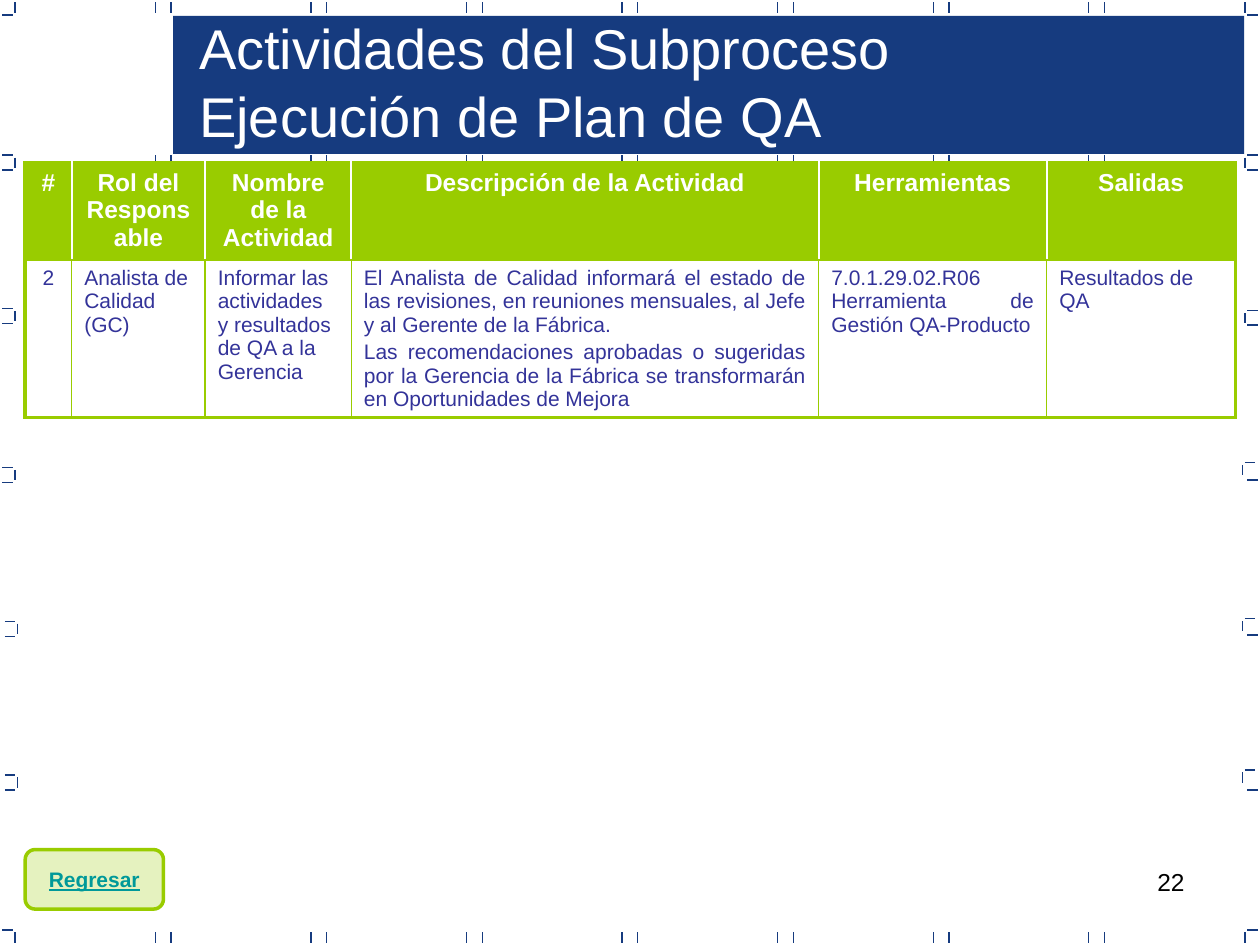
from pptx import Presentation
from pptx.dml.color import RGBColor
from pptx.enum.shapes import MSO_CONNECTOR as Connector, MSO_SHAPE as Shape
from pptx.enum.text import MSO_ANCHOR as Anchor, PP_ALIGN as Align
from pptx.oxml.ns import qn
from pptx.util import Pt
from lxml.etree import SubElement

COLORS = {"navy": "163B7F", "green": "99CC00", "white": "FFFFFF",
          "body": "333399", "link": "009999", "black": "000000"}


def style_text(frame, size, color, align, bold=False, before=0):
    """Format every paragraph and run of a text frame."""
    frame.word_wrap = True
    for para in frame.paragraphs:
        para.alignment = align
        para.space_before = Pt(before)
        for span in para.runs:
            span.font.name = "Arial"
            span.font.size = Pt(size)
            span.font.bold = bold
            span.font.color.rgb = RGBColor.from_string(COLORS[color])


def set_border(cell, side, color, width):
    """Draw one side (L, R, T or B) of a table cell."""
    line = SubElement(cell._tc.get_or_add_tcPr(), qn(f"a:ln{side}"), w=str(Pt(width)))
    fill = SubElement(line, qn("a:solidFill"))
    SubElement(fill, qn("a:srgbClr"), val=COLORS[color])


deck = Presentation()
deck.slide_width, deck.slide_height = Pt(720), Pt(540)
page = deck.slides.add_slide(deck.slide_layouts[5])
shapes = page.shapes

# Frame ticks: (x, y, horizontal run, vertical run)
TICK = 5.8
ticks = []
for column in range(7):
    for offset in (0, 9):
        x = 88.8 + 88.9 * column + offset
        ticks += [(x, y, 0, TICK) for y in (1.4, 88.6, 532.8)]
for x, edge in ((8.6, 1.4), (711.4, 712.8)):
    ticks += [(x, 1.4, 0, TICK), (edge, 8.6, TICK, 0),
              (x, 532.8, 0, TICK), (edge, 531.4, TICK, 0)]
for center, shift in ((92.9, 0), (180.7, 0), (271.4, 0), (359.3, 1.4), (447.1, 1.4)):
    ticks += [(8.6 + shift, center - TICK / 2, 0, TICK),
              (1.4 + shift, center - 4.3, TICK, 0),
              (1.4 + shift, center + 4.3, TICK, 0)]
for upper, lower, shift in ((88.6, 97.2, 0), (177.6, 185.8, 0), (264.2, 274.3, -1.4),
                            (353.5, 362.9, -1.4), (440, 451.4, -1.4)):
    ticks += [(711.4 + shift, upper + 1.4, 0, TICK),
              (712.8 + shift, upper, TICK, 0), (712.8, lower, TICK, 0)]
for x, y, run, rise in ticks:
    tick = shapes.add_connector(Connector.STRAIGHT, Pt(x), Pt(y), Pt(x + run), Pt(y + rise))
    tick.line.color.rgb = RGBColor.from_string(COLORS["navy"])
    tick.line.width = Pt(0.75)
    SubElement(tick._element.spPr, qn("a:effectLst"))

# Title on its banner
banner = shapes.add_shape(Shape.RECTANGLE, Pt(99), Pt(9), Pt(612), Pt(79))
banner.shadow.inherit = False
banner.fill.solid()
banner.fill.fore_color.rgb = RGBColor.from_string(COLORS["navy"])
banner.line.fill.background()

title = shapes.title
shapes._spTree.append(title._element)
title.left, title.top, title.width, title.height = Pt(106.6), Pt(4.3), Pt(599), Pt(84)
title.text_frame.text = "Actividades del Subproceso\nEjecución de Plan de QA"
title.text_frame.vertical_anchor = Anchor.TOP
style_text(title.text_frame, 32, "white", Align.LEFT)

# Activity table
HEADERS = ["#", "Rol del Responsable", "Nombre de la Actividad",
           "Descripción de la Actividad", "Herramientas", "Salidas"]
ACTIVITY = ["2", "Analista de Calidad (GC)",
            "Informar las actividades y resultados de QA a la Gerencia",
            "El Analista de Calidad informará el estado de las revisiones, en reuniones "
            "mensuales, al Jefe y al Gerente de la Fábrica.\n"
            "Las recomendaciones aprobadas o sugeridas por la Gerencia de la Fábrica se "
            "transformarán en Oportunidades de Mejora",
            "7.0.1.29.02.R06 Herramienta de Gestión QA-Producto", "Resultados de QA"]
ALIGNS = [Align.CENTER, Align.LEFT, Align.LEFT, Align.JUSTIFY, Align.JUSTIFY, Align.LEFT]
WIDTHS = [26.6, 76.3, 83.5, 267.1, 130.3, 108]
HEIGHTS = [55.4, 90]
last = len(WIDTHS) - 1

table = shapes.add_table(2, len(WIDTHS), Pt(14.4), Pt(93), Pt(sum(WIDTHS)),
                         Pt(sum(HEIGHTS))).table
table.first_row = table.horz_banding = False
for row, height in zip(table.rows, HEIGHTS):
    row.height = Pt(height)
for index, width in enumerate(WIDTHS):
    table.columns[index].width = Pt(width)
    for row, text in enumerate((HEADERS[index], ACTIVITY[index])):
        cell = table.cell(row, index)
        cell.text_frame.text = text
        inner = ("green", 1) if row else ("white", 1.5)
        outer = ("green", 2.25)
        set_border(cell, "L", *(outer if index == 0 else inner))
        set_border(cell, "R", *(outer if index == last else inner))
        set_border(cell, "T", "green", 1.5 if row else 2.25)
        set_border(cell, "B", "green", 2.25 if row else 1.5)
        if row:
            cell.fill.background()
            style_text(cell.text_frame, 12, "body", ALIGNS[index], before=2.4)
        else:
            cell.fill.solid()
            cell.fill.fore_color.rgb = RGBColor.from_string(COLORS["green"])
            style_text(cell.text_frame, 14, "white", Align.CENTER, bold=True, before=2.8)

# Return button and page number
button = shapes.add_shape(Shape.FLOWCHART_ALTERNATE_PROCESS, Pt(14.4), Pt(485.5), Pt(79), Pt(34))
button.shadow.inherit = False
button.fill.solid()
button.fill.fore_color.rgb = RGBColor.from_string(COLORS["green"])
tint = button._element.spPr.find(qn("a:solidFill"))[0]
SubElement(tint, qn("a:alpha"), val="25000")
button.line.color.rgb = RGBColor.from_string(COLORS["green"])
button.line.width = Pt(2)
button.text_frame.text = "Regresar"
button.text_frame.vertical_anchor = Anchor.MIDDLE
style_text(button.text_frame, 12, "link", Align.CENTER, bold=True)
button.text_frame.paragraphs[0].runs[0].font.underline = True

number = shapes.add_textbox(Pt(516), Pt(492), Pt(168), Pt(37.5))
number.text_frame.text = "22"
style_text(number.text_frame, 14, "black", Align.RIGHT)

deck.save("out.pptx")
